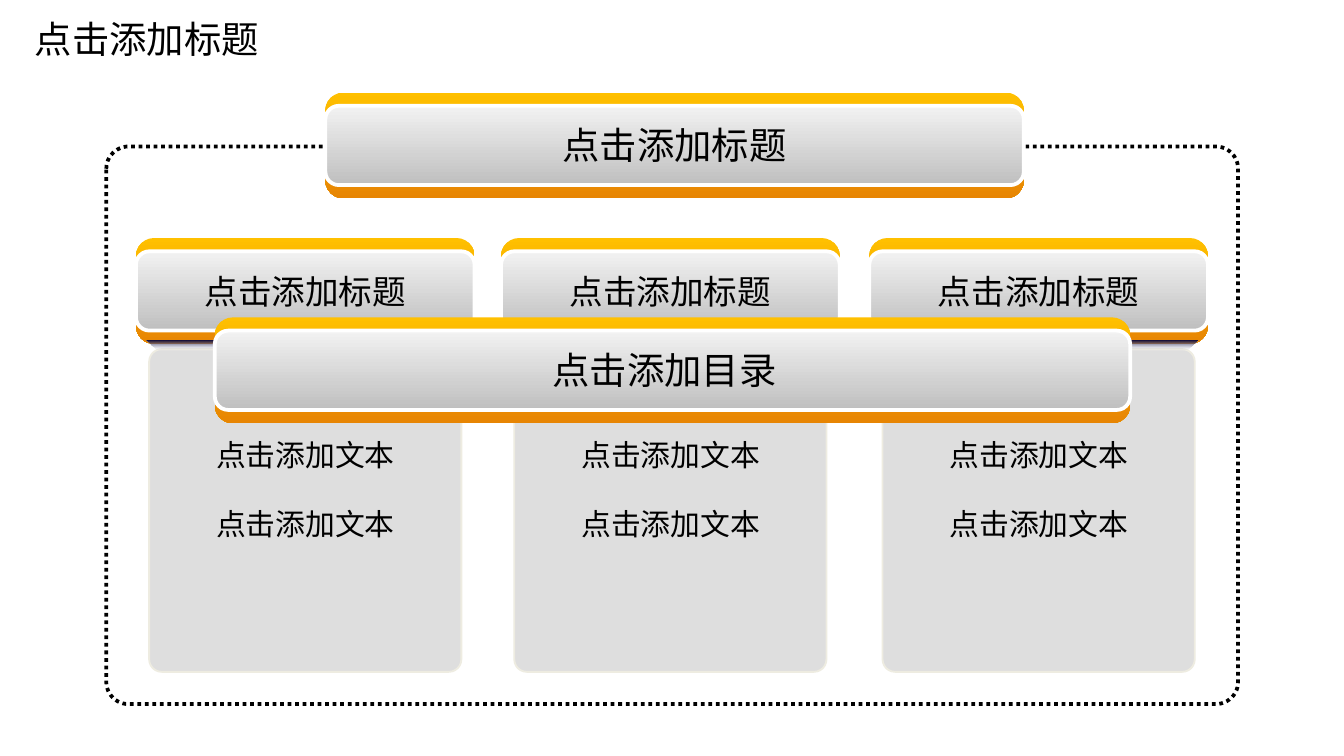
from dataclasses import dataclass
from typing import Optional

import lxml.etree
import pptx
import pptx.dml.color
import pptx.enum.dml
import pptx.enum.shapes
import pptx.enum.text
import pptx.oxml.ns
import pptx.util
from pptx.util import Cm


@dataclass(frozen=True)
class Theme:
    font: str = "Noto Sans CJK SC"
    text: str = "000000"
    white: str = "FFFFFF"
    gold: tuple = ("FFC000", "E78503")
    silver: tuple = ("F2F2F2", "BFBFBF")
    shade: tuple = ("00003A", "FFFFFF")
    panel: str = "D9D9D9"
    panel_edge: str = "EEECE1"
    title_size: int = 20
    header_size: int = 18
    body_size: int = 16


@dataclass(frozen=True)
class Box:
    """A rectangle in centimetres."""
    left: float
    top: float
    width: float
    height: float

    def lengths(self) -> tuple:
        return Cm(self.left), Cm(self.top), Cm(self.width), Cm(self.height)


@dataclass(frozen=True)
class Band:
    text: str
    left: float
    top: float
    width: float
    size: int
    label_width: float = 4.8
    label_height: float = 1.12
    label_shift: float = 0
    inset: bool = True
    wrap: bool = False


@dataclass(frozen=True)
class Column:
    left: float
    header: str
    lines: tuple


THEME = Theme()
COLUMN_TOP, COLUMN_WIDTH = 4.5, 6.4
BAND_HEIGHT, FACE_HEIGHT = 2.0, 1.5
LINE_TOP, LINE_STEP = 8.26, 1.29

HEADING, ITEM = "点击添加标题", "点击添加文本"
COLUMNS = [Column(left, HEADING, (ITEM, ITEM)) for left in (2.57, 9.47, 16.43)]
TOP_BAND = Band(HEADING, 6.15, 1.75, 13.2, THEME.title_size)
MIDDLE_BAND = Band("点击添加目录", 4.06, 6.0, 17.3, THEME.title_size,
                   label_width=4.9, label_shift=-0.15, wrap=True)


def rgb(color: str) -> pptx.dml.color.RGBColor:
    return pptx.dml.color.RGBColor.from_string(color)


def set_alpha(shape, color: str, percent: int) -> None:
    """Give the fill colour of a shape the stated opacity."""
    for element in shape._element.spPr.iter(pptx.oxml.ns.qn("a:srgbClr")):
        if element.get("val") == color:
            alpha = lxml.etree.SubElement(element, pptx.oxml.ns.qn("a:alpha"))
            alpha.set("val", str(percent * 1000))


def fill_gradient(shape, colors: tuple) -> None:
    """Fill from top to bottom."""
    shape.fill.gradient()
    shape.fill.gradient_angle = 270
    for stop, color, position in zip(shape.fill.gradient_stops, colors, (0, 1)):
        stop.color.rgb = rgb(color)
        stop.position = position


def set_line(shape, color: Optional[str], width: float = 0) -> None:
    if color is None:
        shape.line.fill.background()
        return
    shape.line.color.rgb = rgb(color)
    shape.line.width = pptx.util.Pt(width)


def add_rounded(shapes, box: Box, radius: float):
    shape = shapes.add_shape(
        pptx.enum.shapes.MSO_SHAPE.ROUNDED_RECTANGLE, *box.lengths())
    shape.adjustments[0] = radius
    shape.shadow.inherit = False
    return shape


def add_text(shapes, box: Box, text: str, size: int,
             inset: bool = True, wrap: bool = True) -> None:
    text_frame = shapes.add_textbox(*box.lengths()).text_frame
    text_frame.text = text
    text_frame.word_wrap = wrap
    text_frame.auto_size = pptx.enum.text.MSO_AUTO_SIZE.SHAPE_TO_FIT_TEXT
    if not inset:
        text_frame.margin_left = text_frame.margin_right = 0
        text_frame.margin_top = text_frame.margin_bottom = 0
    paragraph = text_frame.paragraphs[0]
    paragraph.alignment = pptx.enum.text.PP_ALIGN.CENTER
    run = paragraph.runs[0]
    run.font.size = pptx.util.Pt(size)
    run.font.color.rgb = rgb(THEME.text)
    run.font.name = THEME.font
    east_asian = lxml.etree.SubElement(run.font._element, pptx.oxml.ns.qn("a:ea"))
    east_asian.set("typeface", THEME.font)


def add_band(shapes, band: Band) -> None:
    """Draw a gold bar with a silver face and a centred label."""
    bar = add_rounded(shapes, Box(band.left, band.top, band.width, BAND_HEIGHT), 0.17)
    fill_gradient(bar, THEME.gold)
    set_line(bar, None)
    face_top = band.top + (BAND_HEIGHT - FACE_HEIGHT) / 2
    face = add_rounded(shapes, Box(band.left, face_top, band.width, FACE_HEIGHT), 0.17)
    fill_gradient(face, THEME.silver)
    set_line(face, THEME.white, 2)
    label = Box(band.left + (band.width - band.label_width) / 2 + band.label_shift,
                band.top + (BAND_HEIGHT - band.label_height) / 2,
                band.label_width, band.label_height)
    add_text(shapes, label, band.text, band.size, band.inset, band.wrap)


def add_shade(shapes, box: Box, slant: float) -> None:
    """Draw a trapezoid that fades out downwards."""
    right, bottom = box.left + box.width, box.top + box.height
    builder = shapes.build_freeform(Cm(box.left), Cm(box.top))
    corners = [(box.left + slant, bottom), (right - slant, bottom), (right, box.top)]
    builder.add_line_segments([(Cm(x), Cm(y)) for x, y in corners], close=True)
    shade = builder.convert_to_shape()
    shade.shadow.inherit = False
    fill_gradient(shade, THEME.shade)
    set_alpha(shade, THEME.shade[1], 0)
    set_line(shade, None)


def add_column(shapes, column: Column) -> None:
    panel = add_rounded(shapes, Box(column.left + 0.25, 6.6, 5.9, 6.1), 0.04)
    panel.fill.solid()
    panel.fill.fore_color.rgb = rgb(THEME.panel)
    set_alpha(panel, THEME.panel, 85)
    set_line(panel, THEME.panel_edge, 1)
    for index, line in enumerate(column.lines):
        box = Box(column.left + 1.02, LINE_TOP + index * LINE_STEP, 4.37, 0.69)
        add_text(shapes, box, line, THEME.body_size, inset=False)
    add_band(shapes, Band(column.header, column.left, COLUMN_TOP, COLUMN_WIDTH,
                          THEME.header_size, label_width=3.84,
                          label_height=0.76, inset=False))
    add_shade(shapes, Box(column.left + 0.2, 6.43, 6.0, 0.2), 0.22)


def main() -> None:
    presentation = pptx.Presentation()
    presentation.slide_width, presentation.slide_height = Cm(25.4), Cm(14.29)
    slide = presentation.slides.add_slide(presentation.slide_layouts[6])

    frame = add_rounded(slide.shapes, Box(2.01, 2.77, 21.39, 10.54), 0.04)
    frame.fill.background()
    set_line(frame, THEME.text, 2)
    frame.line.dash_style = pptx.enum.dml.MSO_LINE.ROUND_DOT

    add_band(slide.shapes.add_group_shape().shapes, TOP_BAND)
    for column in COLUMNS:
        add_column(slide.shapes.add_group_shape().shapes, column)
    add_text(slide.shapes, Box(0.15, 0.18, 5.26, 1.12), HEADING, THEME.title_size)
    add_band(slide.shapes.add_group_shape().shapes, MIDDLE_BAND)

    presentation.save("out.pptx")


if __name__ == "__main__":
    main()
